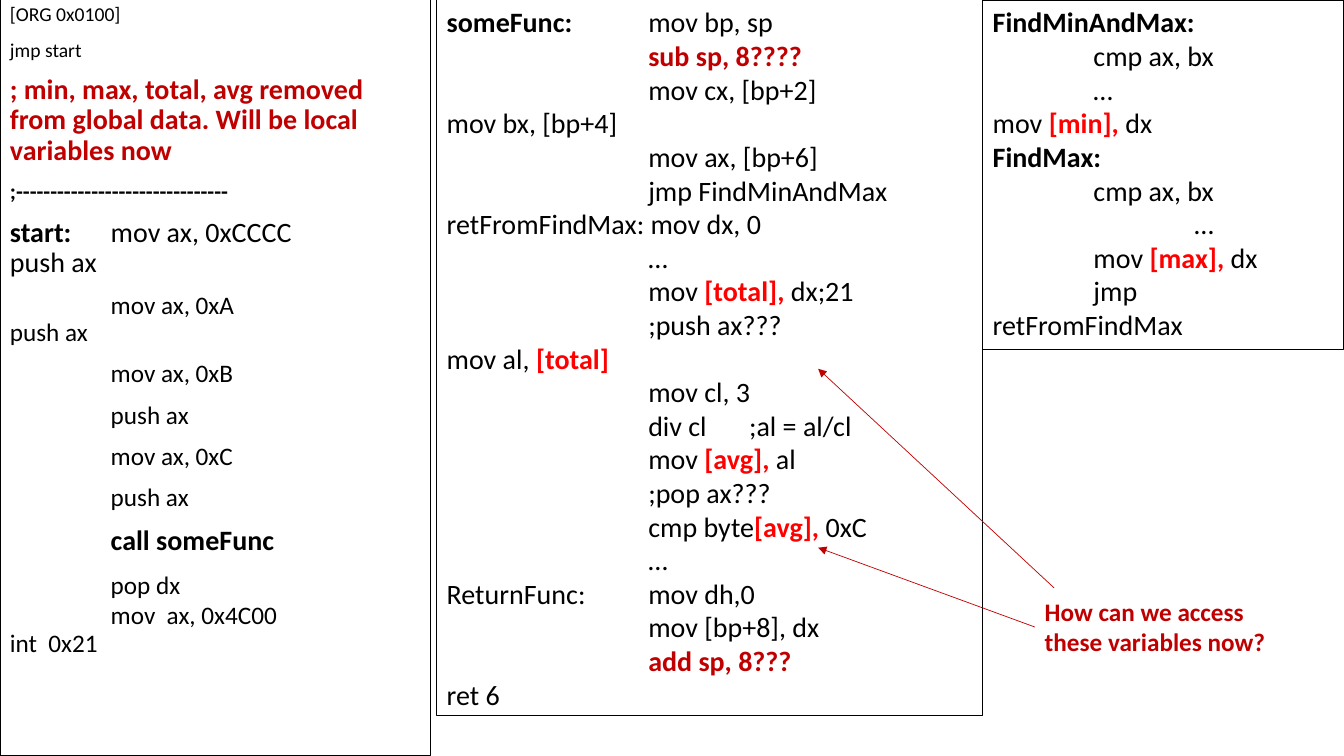
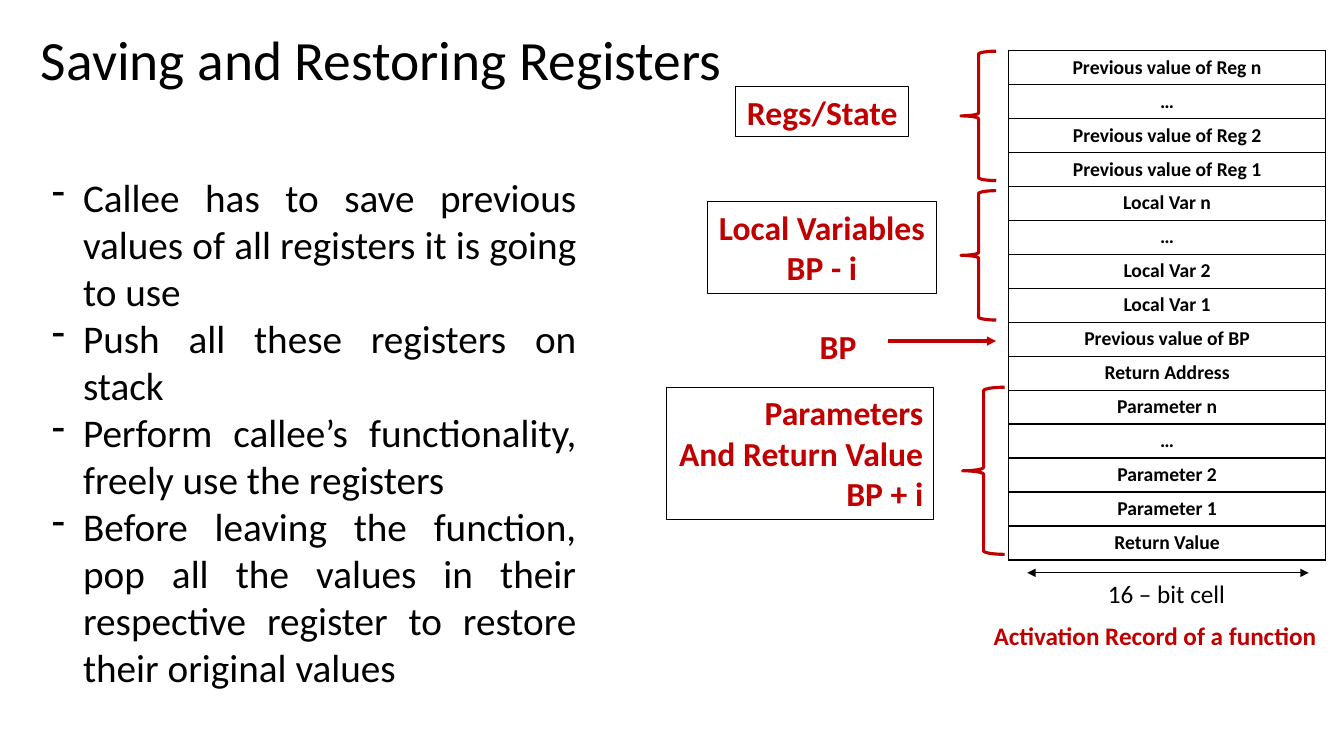
from dataclasses import dataclass
from typing import NamedTuple

import lxml.etree
import pptx
import pptx.dml.color
import pptx.enum.shapes
import pptx.enum.text
import pptx.oxml.ns
import pptx.util

qn = pptx.oxml.ns.qn
Align = pptx.enum.text.PP_ALIGN
Shape = pptx.enum.shapes.MSO_SHAPE

COLUMNS, ROWS = 160, 90
CELL = pptx.util.Inches(1) / 12


@dataclass(frozen=True)
class Theme:
    font: str = "Calibri"
    ink: str = "000000"
    accent: str = "C00000"
    variable: str = "FF0000"
    title_size: float = 39.6
    bullet_size: float = 28
    label_size: float = 24
    code_size: float = 20
    small_size: float = 18
    rule_size: float = 16
    cell_size: float = 14
    hairline: float = 0.5
    outline: float = 0.75
    border: float = 1
    heavy: float = 2.25

    def text_style(self, name):
        """Return the colour and weight of a named kind of text."""
        return {
            "plain": (self.ink, False),
            "bold": (self.ink, True),
            "note": (self.accent, True),
            "variable": (self.variable, True),
        }[name]


class Run(NamedTuple):
    text: str
    style: str = None
    size: float = None


THEME = Theme()


def grid(*lengths):
    return [pptx.util.Emu(round(length * CELL)) for length in lengths]


def rgb(colour):
    return pptx.dml.color.RGBColor.from_string(colour)


def add_element(parent, tag, **attributes):
    return lxml.etree.SubElement(parent, qn(tag), **attributes)


class Deck:
    """Draws on the current slide; every place is in grid columns and rows."""

    def __init__(self, theme):
        self.theme = theme
        self.presentation = pptx.Presentation()
        (self.presentation.slide_width,
         self.presentation.slide_height) = grid(COLUMNS, ROWS)
        self.slide = None

    def new_slide(self):
        self.slide = self.presentation.slides.add_slide(
            self.presentation.slide_layouts[6])

    def add_runs(self, paragraph, runs, size, style):
        """Write strings or Runs; a newline becomes a line break."""
        for item in [runs] if isinstance(runs, (str, Run)) else runs:
            run_spec = Run(item) if isinstance(item, str) else item
            colour, bold = self.theme.text_style(run_spec.style or style)
            for index, line in enumerate(run_spec.text.split("\n")):
                if index:
                    paragraph.add_line_break()
                if not line:
                    continue
                run = paragraph.add_run()
                run.text = line
                run.font.name = self.theme.font
                run.font.size = pptx.util.Pt(run_spec.size or size)
                run.font.bold = bold
                run.font.color.rgb = rgb(colour)

    def text(self, place, paragraphs, size, style="plain", align=Align.LEFT,
             outlined=False, wrap=True, spacing=None, space_before=0,
             tabs=(), bullet=None, middle=False):
        box = self.slide.shapes.add_textbox(*grid(*place))
        if outlined:
            box.line.color.rgb = rgb(self.theme.ink)
            box.line.width = pptx.util.Pt(self.theme.outline)
        frame = box.text_frame
        frame.word_wrap = wrap
        if middle:
            frame.vertical_anchor = pptx.enum.text.MSO_ANCHOR.MIDDLE
        for index, runs in enumerate(paragraphs):
            paragraph = frame.add_paragraph() if index else frame.paragraphs[0]
            paragraph.alignment = align
            if spacing:
                paragraph.line_spacing = spacing
            if index and space_before:
                paragraph.space_before = pptx.util.Pt(space_before)
            properties = paragraph._p.get_or_add_pPr()
            if bullet:
                indent = pptx.util.Inches(0.31)
                properties.set("marL", str(indent))
                properties.set("indent", str(-indent))
                add_element(properties, "a:buChar", char=bullet)
            if tabs:
                stops = add_element(properties, "a:tabLst")
                for inches in tabs:
                    add_element(stops, "a:tab", algn="l",
                                pos=str(pptx.util.Inches(inches)))
            self.add_runs(paragraph, runs, size, style)
        return box

    def title(self, place, words):
        self.text(place, [words], self.theme.title_size, spacing=0.9,
                  middle=True)

    def code_panel(self, place, lines, tabs, **options):
        self.text(place, lines, self.theme.code_size, outlined=True,
                  tabs=tabs, **options)

    def arrow(self, start, end, colour, width, both_ends=False, source=None):
        """Draw an arrow, joined to the left side of source when given."""
        connector = self.slide.shapes.add_connector(
            pptx.enum.shapes.MSO_CONNECTOR.STRAIGHT, *grid(*start, *end))
        if source is not None:
            connector.begin_connect(source, 1)
        connector.line.color.rgb = rgb(colour)
        connector.line.width = pptx.util.Pt(width)
        properties = connector.element.spPr
        line = properties.find(qn("a:ln"))
        if both_ends:
            add_element(line, "a:headEnd", type="triangle")
        add_element(line, "a:tailEnd", type="triangle")
        add_element(properties, "a:effectLst")

    def brace(self, place):
        brace = self.slide.shapes.add_shape(Shape.LEFT_BRACE, *grid(*place))
        brace.shadow.inherit = False
        brace.fill.background()
        brace.line.color.rgb = rgb(self.theme.accent)
        brace.line.width = pptx.util.Pt(self.theme.heavy)

    def stack_table(self, left, top, width, row_height, labels):
        """Draw a one-column table with a border round every cell."""
        table = self.slide.shapes.add_table(
            len(labels), 1,
            *grid(left, top, width, row_height * len(labels))).table
        table.first_row = table.horz_banding = False
        for index, label in enumerate(labels):
            table.rows[index].height = grid(row_height)[0]
            cell = table.cell(index, 0)
            paragraph = cell.text_frame.paragraphs[0]
            paragraph.alignment = Align.CENTER
            self.add_runs(paragraph, label, self.theme.cell_size, "bold")
            properties = cell._tc.get_or_add_tcPr()
            for side in "LRTB":
                border = add_element(
                    properties, f"a:ln{side}",
                    w=str(pptx.util.Pt(self.theme.border)))
                fill = add_element(border, "a:solidFill")
                add_element(fill, "a:srgbClr", val=self.theme.ink)
            cell.fill.background()


def bold(text, size=None):
    return Run(text, "bold", size)


def note(text):
    return Run(text, "note")


def variable(text):
    return Run(text, "variable")


def small(text):
    return Run(text, size=THEME.small_size)


def local_variables_slide(deck):
    theme = deck.theme
    deck.new_slide()
    deck.code_panel((0, 0, 51.2, 90), [
        Run("[ORG 0x0100]", size=theme.cell_size),
        Run("jmp start", size=theme.cell_size),
        note("; min, max, total, avg removed from global data. "
             "Will be local variables now"),
        bold(";-------------------------------", theme.rule_size),
        [bold("start:\t"), "mov ax, 0xCCCC\npush ax"],
        small("\tmov ax, 0xA\npush ax"),
        small("\tmov ax, 0xB"),
        small("\tpush ax"),
        small("\tmov ax, 0xC"),
        small("\tpush ax"),
        bold("\tcall someFunc"),
        ["\t", small("pop dx\n"), "\t", small("mov  ax, 0x4C00\nint  0x21")],
    ], tabs=(1,), spacing=0.9, space_before=10)
    deck.code_panel((117, 0, 43, 41.6), [
        bold("FindMinAndMax:"),
        "\tcmp ax, bx",
        ["\t…\nmov ", variable("[min], "), "dx"],
        bold("FindMax:"),
        "\tcmp ax, bx",
        "\t\t…",
        ["\tmov ", variable("[max], "), "dx"],
        "\tjmp\nretFromFindMax",
    ], tabs=(1, 2))
    deck.code_panel((52, 0, 65, 85.2), [
        [bold("someFunc:\t"), "mov bp, sp"],
        note("\tsub sp, 8????"),
        "\tmov cx, [bp+2]\nmov bx, [bp+4]",
        "\tmov ax, [bp+6]",
        "\tjmp FindMinAndMax",
        "retFromFindMax: mov dx, 0",
        "\t…",
        ["\tmov ", variable("[total], "), "dx;21"],
        ["\t;push ax???\nmov al, ", variable("[total]")],
        "\tmov cl, 3",
        "\tdiv cl\t;al = al/cl",
        ["\tmov ", variable("[avg], "), "al"],
        "\t;pop ax???",
        ["\tcmp byte", variable("[avg], "), "0xC"],
        "\t…",
        "ReturnFunc:\tmov dh,0",
        "\tmov [bp+8], dx",
        [note("\tadd sp, 8???"), "\nret 6"],
    ], tabs=(2, 3))
    question = deck.text((123.2, 70.4, 33.6, 8.5),
                         ["How can we access these variables now?"],
                         theme.small_size, "note")
    deck.arrow((123.2, 74.65), (97.4, 65.2), theme.accent, theme.hairline,
               source=question)
    deck.arrow((125.5, 70), (97.4, 43.9), theme.accent, theme.hairline)


def registers_slide(deck):
    theme = deck.theme
    deck.new_slide()
    deck.stack_table(120.1, 6, 37.7, 4.04, [
        "Previous value of Reg n", "…", "Previous value of Reg 2",
        "Previous value of Reg 1",
        "Local Var n", "…", "Local Var 2", "Local Var 1",
        "Previous value of BP", "Return Address",
        "Parameter n", "…", "Parameter 2", "Parameter 1", "Return Value",
    ])
    deck.title((3.7, 0.2, 83.9, 14.5), "Saving and Restoring Registers")
    deck.text((5, 20, 64.8, 69.1), [
        "Callee has to save previous values of all registers it is going "
        "to use",
        "Push all these registers on stack",
        "Perform callee’s functionality, freely use the registers",
        "Before leaving the function, pop all the values in their "
        "respective register to restore their original values",
    ], theme.bullet_size, align=Align.JUSTIFY, bullet="-")

    sections = [
        (["Regs/State"], Align.CENTER,
         (87.6, 10.3, 20.6, 6), (114.4, 6.1, 4.2, 15.4)),
        (["Local Variables", "BP - i"], Align.CENTER,
         (84.2, 24, 27.3, 10.9), (114.4, 22.7, 4.2, 15.4)),
        (["Parameters", "And Return Value", "BP + i"], Align.RIGHT,
         (79.3, 46.1, 31.8, 15.7), (114.6, 46.1, 5, 19.9)),
    ]
    for lines, align, label_place, brace_place in sections:
        deck.text(label_place, lines, theme.label_size, "note", align,
                  outlined=True, wrap=False)
        deck.brace(brace_place)

    deck.text((96.4, 38.2, 6.8, 6), ["BP"], theme.label_size, "note",
              wrap=False)
    deck.arrow((105.7, 40.6), (118.6, 40.6), theme.accent, theme.heavy)
    deck.arrow((122.3, 68.2), (155.8, 68.2), theme.ink, theme.hairline,
               both_ends=True)
    deck.text((130.7, 68.3, 16.6, 4.8), ["16 – bit cell"], theme.small_size,
              wrap=False)
    deck.text((117.1, 73.3, 41.3, 4.8), ["Activation Record of a function"],
              theme.small_size, "note", wrap=False)


def main():
    deck = Deck(THEME)
    local_variables_slide(deck)
    registers_slide(deck)
    deck.presentation.save("out.pptx")


if __name__ == "__main__":
    main()
